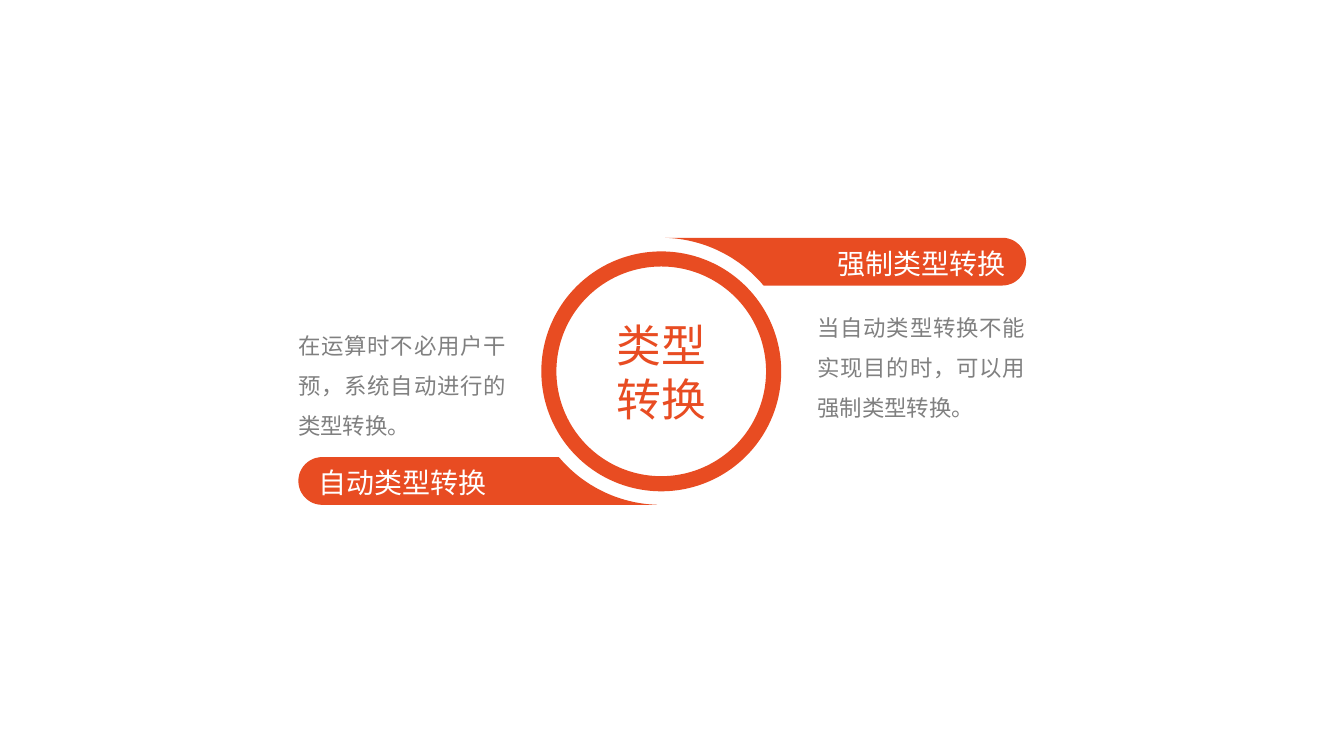
from math import acos, cos, pi, sin

from lxml.etree import SubElement
from pptx import Presentation
from pptx.dml.color import RGBColor
from pptx.enum.shapes import MSO_SHAPE
from pptx.enum.text import MSO_ANCHOR, PP_ALIGN
from pptx.oxml.ns import qn
from pptx.util import Inches, Pt

ORANGE = RGBColor(0xE8, 0x4C, 0x22)
GREY = RGBColor(0x80, 0x80, 0x80)
WHITE = RGBColor(0xFF, 0xFF, 0xFF)
FONT = "Noto Sans CJK SC"
MID = (65.6, 36.84)
STEPS = 24


class Deck:
    """Draws styled elements on a grid of tenth-inch columns and rows."""

    def __init__(self):
        self.show = Presentation()
        self.show.slide_width = self.cell(133.33)
        self.show.slide_height = self.cell(75)
        self.slide = self.show.slides.add_slide(self.show.slide_layouts[6])

    def cell(self, count):
        return Inches(count / 10)

    def paint(self, shape):
        shape.shadow.inherit = False
        shape.fill.solid()
        shape.fill.fore_color.rgb = ORANGE
        shape.line.fill.background()

    def label(self, shape, lines, size, color, align, anchor, pads, space=None):
        frame = shape.text_frame
        frame.word_wrap = True
        frame.vertical_anchor = anchor
        (frame.margin_left, frame.margin_top,
         frame.margin_right, frame.margin_bottom) = map(self.cell, pads)
        for index, line in enumerate(lines):
            para = frame.add_paragraph() if index else frame.paragraphs[0]
            para.alignment = align
            if space:
                para.line_spacing = space
            run = para.add_run()
            run.text = line
            run.font.size = Pt(size)
            run.font.name = FONT
            run.font.color.rgb = color
            SubElement(run.font._element, qn("a:ea"), typeface=FONT)

    def ribbon(self, side, reach, text, align):
        outer, height = 13.25, 4.74
        cap = height / 2
        first, last = 0.03, acos((outer - height) / outer)
        turns = [first + (last - first) * i / STEPS for i in range(STEPS + 1)]
        points = [(outer * sin(t), -outer * cos(t)) for t in turns]
        points += [(reach - cap + cap * cos(t), cap - outer + cap * sin(t))
                   for t in (pi / 2 - pi * i / STEPS for i in range(STEPS + 1))]
        spots = [(self.cell(MID[0] + side * x), self.cell(MID[1] + side * y))
                 for x, y in points]
        pen = self.slide.shapes.build_freeform(*spots[0], scale=1.0)
        pen.add_line_segments(spots[1:], close=True)
        shape = pen.convert_to_shape()
        self.paint(shape)
        self.label(shape, [text], 20, WHITE, align, MSO_ANCHOR.MIDDLE,
                   (2, 0.5, 2, 0.5), 1.1)

    def ring(self, size, lines):
        box = (MID[0] - size / 2, MID[1] - size / 2, size, size)
        shape = self.slide.shapes.add_shape(MSO_SHAPE.DONUT, *map(self.cell, box))
        shape.adjustments[0] = 0.063
        self.paint(shape)
        self.label(shape, lines, 32, ORANGE, PP_ALIGN.CENTER,
                   MSO_ANCHOR.MIDDLE, (0, 0, 0, 0))

    def note(self, box, text, anchor, pads):
        shape = self.slide.shapes.add_textbox(*map(self.cell, box))
        self.label(shape, [text], 16, GREY, PP_ALIGN.JUSTIFY, anchor, pads, 1.5)


def main():
    deck = Deck()
    deck.ribbon(1, 36.2, "强制类型转换", PP_ALIGN.RIGHT)
    deck.ribbon(-1, 36, "自动类型转换", PP_ALIGN.LEFT)
    deck.ring(23.8, ["类型", "转换"])
    deck.note((29.6, 21.8, 22.6, 23.4),
              "在运算时不必用户干预，系统自动进行的类型转换。",
              MSO_ANCHOR.BOTTOM, (0, 1.6, 2, 1.6))
    deck.note((79.1, 28.2, 22.6, 18.9),
              "当自动类型转换不能实现目的时，可以用强制类型转换。",
              MSO_ANCHOR.TOP, (2, 1.6, 0, 1.6))
    deck.show.save("out.pptx")


if __name__ == "__main__":
    main()
